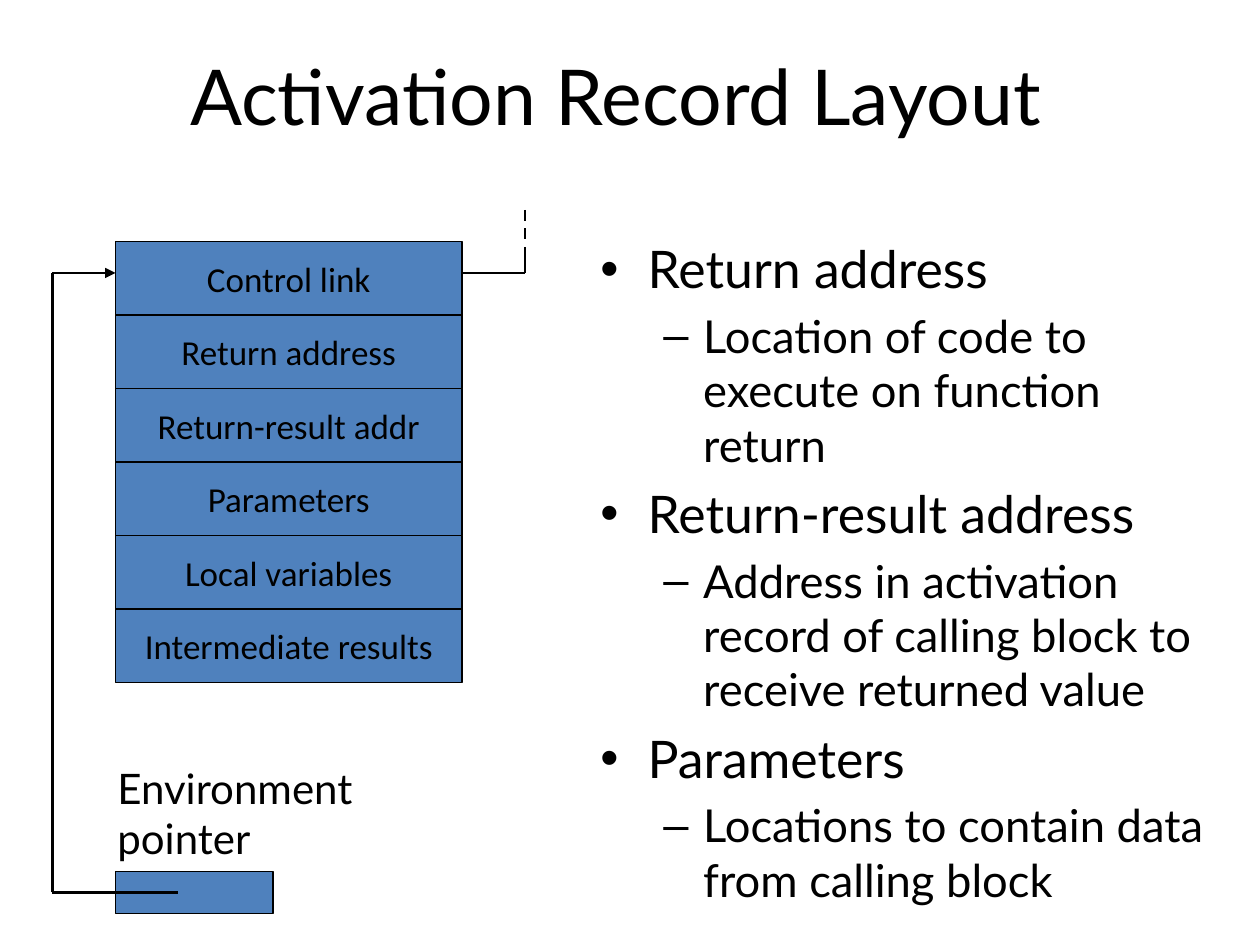
import pptx
import pptx.dml.color
import pptx.enum.dml
import pptx.enum.shapes
import pptx.enum.text
import pptx.oxml
import pptx.oxml.ns
import pptx.util
from dataclasses import dataclass
from lxml import etree

EMU_PER_PX = 7620


def px(length):
    return pptx.util.Emu(length * EMU_PER_PX)


def add_element(parent, tag, **attributes):
    element = etree.SubElement(parent, pptx.oxml.ns.qn(tag))
    for name, value in attributes.items():
        element.set(name, str(value))
    return element


@dataclass(frozen=True)
class Theme:
    ink: str = "000000"
    box: str = "4F81BD"
    heading_font: str = "Lato"
    box_font: str = "Calibri"
    title_size: float = 44
    topic_size: float = 29.6
    detail_size: float = 25.9
    label_size: float = 24
    box_size: float = 20
    outline: float = 0.75
    link: float = 1.5


class SlideBuilder:
    def __init__(self, slide, theme):
        self.slide = slide
        self.theme = theme

    def color(self, value):
        return pptx.dml.color.RGBColor.from_string(value)

    def run(self, paragraph, text, size, font):
        run = paragraph.add_run()
        run.text = text
        run.font.size = pptx.util.Pt(size)
        run.font.name = font
        run.font.color.rgb = self.color(self.theme.ink)

    def text_box(self, left, top, width, height):
        shape = self.slide.shapes.add_textbox(*map(px, (left, top, width, height)))
        shape.text_frame.word_wrap = True
        return shape.text_frame

    def label(self, bounds, text, size, align="LEFT", anchor="TOP"):
        frame = self.text_box(*bounds)
        frame.vertical_anchor = getattr(pptx.enum.text.MSO_ANCHOR, anchor)
        paragraph = frame.paragraphs[0]
        paragraph.alignment = getattr(pptx.enum.text.PP_ALIGN, align)
        self.run(paragraph, text, size, self.theme.heading_font)

    def bullet(self, paragraph, text, level):
        symbol, size, margin, indent = (
            ("•", self.theme.topic_size, 45, -45),
            ("–", self.theme.detail_size, 98, -38),
        )[level]
        paragraph.level = level
        paragraph.space_before = pptx.util.Pt(round(size * 0.2))
        properties = paragraph._p.get_or_add_pPr()
        properties.set("marL", str(px(margin)))
        properties.set("indent", str(px(indent)))
        add_element(properties, "a:buFont", typeface="Arial")
        add_element(properties, "a:buChar", char=symbol)
        self.run(paragraph, text, size, self.theme.heading_font)

    def bullets(self, bounds, topics):
        frame = self.text_box(*bounds)
        items = [(text, level) for topic in topics for level, text in enumerate(topic)]
        for index, (text, level) in enumerate(items):
            paragraph = frame.add_paragraph() if index else frame.paragraphs[0]
            self.bullet(paragraph, text, level)

    def box(self, left, top, width, height, text=None):
        shape = self.slide.shapes.add_shape(
            pptx.enum.shapes.MSO_SHAPE.RECTANGLE, *map(px, (left, top, width, height)))
        shape.shadow.inherit = False
        shape.fill.solid()
        shape.fill.fore_color.rgb = self.color(self.theme.box)
        shape.line.color.rgb = self.color(self.theme.ink)
        shape.line.width = pptx.util.Pt(self.theme.outline)
        if text:
            frame = shape.text_frame
            frame.word_wrap = False
            frame.vertical_anchor = pptx.enum.text.MSO_ANCHOR.MIDDLE
            paragraph = frame.paragraphs[0]
            paragraph.alignment = pptx.enum.text.PP_ALIGN.CENTER
            self.run(paragraph, text, self.theme.box_size, self.theme.box_font)

    def line(self, start, end, arrow=False, dashed=False):
        connector = self.slide.shapes.add_connector(
            pptx.enum.shapes.MSO_CONNECTOR.STRAIGHT, *map(px, (*start, *end)))
        connector.line.color.rgb = self.color(self.theme.ink)
        connector.line.width = pptx.util.Pt(self.theme.link)
        if dashed:
            connector.line.dash_style = pptx.enum.dml.MSO_LINE.DASH
        if arrow:
            add_element(connector.line._get_or_add_ln(), "a:tailEnd", type="triangle")
        add_element(connector._element.spPr, "a:effectLst")


def main():
    presentation = pptx.Presentation()
    presentation.slide_width = px(1200)
    presentation.slide_height = px(900)
    slide = presentation.slides.add_slide(presentation.slide_layouts[6])
    theme = Theme()
    builder = SlideBuilder(slide, theme)

    builder.label((53, 30, 1067, 120), "Activation Record Layout", theme.title_size,
                  align="CENTER", anchor="MIDDLE")
    builder.bullets((560, 220, 600, 660), (
        ("Return address", "Location of code to execute on function return"),
        ("Return-result address",
         "Address in activation record of calling block to receive returned value"),
        ("Parameters", "Locations to contain data from calling block"),
    ))

    record_left, record_top, record_width, field_height = 110, 230, 330, 70
    fields = ("Control link", "Return address", "Return-result addr",
              "Parameters", "Local variables", "Intermediate results")
    for index, field in enumerate(fields):
        builder.box(record_left, record_top + index * field_height,
                    record_width, field_height, field)

    builder.label((100, 720, 250, 108), "Environment pointer", theme.label_size)
    builder.box(record_left, 830, 150, 40)

    link_y, pointer_y, pointer_x, control_x = 260, 850, 50, 500
    builder.line((pointer_x, pointer_y), (170, pointer_y))
    builder.line((pointer_x, pointer_y), (pointer_x, link_y))
    builder.line((pointer_x, link_y), (record_left, link_y), arrow=True)
    builder.line((record_left + record_width, link_y), (control_x, link_y))
    builder.line((control_x, 240), (control_x, link_y))
    builder.line((control_x, 200), (control_x, 240), dashed=True)

    presentation.save("out.pptx")


if __name__ == "__main__":
    main()
